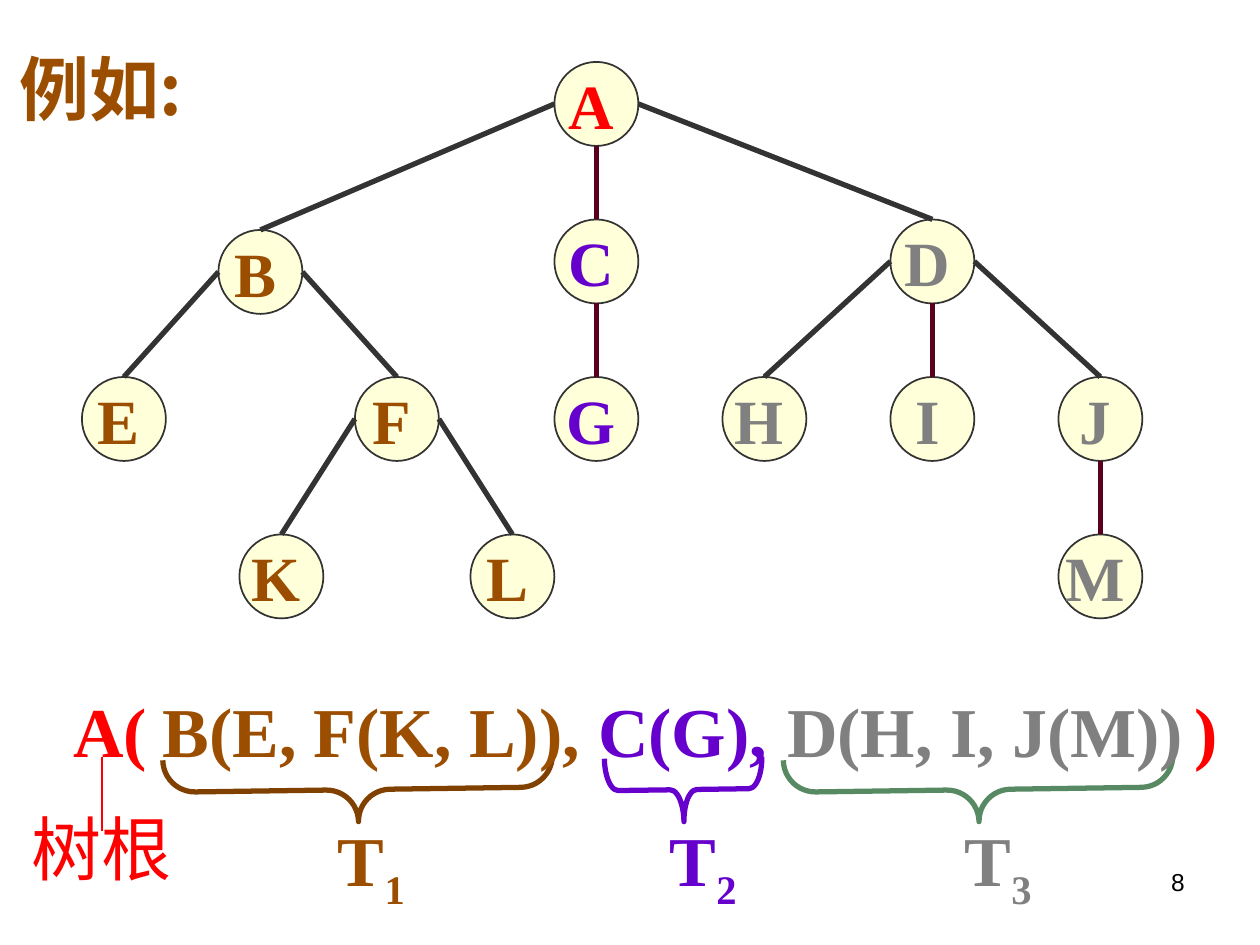
from pptx import Presentation
from pptx.dml.color import RGBColor
from pptx.enum.shapes import MSO_CONNECTOR as Link, MSO_SHAPE as Shape
from pptx.enum.text import MSO_ANCHOR as Anchor, PP_ALIGN as Align
from pptx.oxml.ns import qn
from pptx.util import Inches, Pt
from lxml.etree import SubElement

COLORS = {
    "root": "FF0000", "t1": "9C4E00", "t2": "6600CC", "t3": "808080",
    "node": "FFFFD9", "edge": "333333", "stem": "58001D",
    "brace1": "804000", "brace3": "578963", "number": "000000",
}
COLUMNS = 120
ROWS = 90
NODE_SIZE = 8
LEVELS = [9.9, 24.9, 39.9, 54.9]

# letter: (centre column, centre row, colour)
NODES = {
    "A": (56.8, LEVELS[0], "root"),
    "B": (24.8, LEVELS[1] + 1, "t1"),
    "C": (56.8, LEVELS[1], "t2"),
    "D": (88.8, LEVELS[1], "t3"),
    "E": (11.8, LEVELS[2], "t1"),
    "F": (37.8, LEVELS[2], "t1"),
    "G": (56.8, LEVELS[2], "t2"),
    "H": (72.8, LEVELS[2], "t3"),
    "I": (88.8, LEVELS[2], "t3"),
    "J": (104.8, LEVELS[2], "t3"),
    "K": (26.8, LEVELS[3], "t1"),
    "L": (48.8, LEVELS[3], "t1"),
    "M": (104.8, LEVELS[3], "t3"),
}
CHILDREN = {"A": "BCD", "B": "EF", "C": "G", "D": "HIJ", "F": "KL", "J": "M"}

# text, left column, width in columns, colour
LIST_PARTS = [
    ("A(", 5.8, 10.8, "root"),
    ("B(E, F(K, L)),", 14.3, 43.8, "t1"),
    ("C(G),", 55.8, 20.2, "t2"),
    ("D(H, I, J(M))", 73.8, 41, "t3"),
    (")", 112.6, 5.4, "root"),
]
# index, brace centre, brace span, curl, label left, brace colour, label colour
SUBTREES = [
    ("1", 34.1, 37.1, 0.5, 31, "brace1", "t1"),
    ("2", 65.1, 15, 0.21, 62.6, "t2", "t2"),
    ("3", 93.2, 37.1, 0.5, 90.7, "brace3", "t3"),
]


class TreePage:
    latin = "Times New Roman"
    chinese = "Noto Sans CJK SC"

    def __init__(self, deck):
        self.page = deck.slides.add_slide(deck.slide_layouts[6])
        self.column = deck.slide_width / COLUMNS
        self.row = deck.slide_height / ROWS

    def place(self, left, top, width, height):
        return (round(left * self.column), round(top * self.row),
                round(width * self.column), round(height * self.row))

    def paint_line(self, shape, color, weight):
        shape.line.color.rgb = RGBColor.from_string(COLORS[color])
        shape.line.width = Pt(weight)

    def add_span(self, para, text, color, size, bold=True, font=None, baseline=None):
        span = para.add_run()
        span.text = text
        span.font.name = font or self.latin
        span.font.size = Pt(size)
        span.font.bold = bold
        span.font.color.rgb = RGBColor.from_string(COLORS[color])
        props = span._r.get_or_add_rPr()
        SubElement(props, qn("a:ea")).set("typeface", self.chinese)
        if baseline:
            props.set("baseline", str(baseline))

    def text(self, text, area, color, size=40, align=Align.LEFT, subscript=None, **style):
        frame = self.page.shapes.add_textbox(*self.place(*area)).text_frame
        frame.word_wrap = True
        para = frame.paragraphs[0]
        para.alignment = align
        self.add_span(para, text, color, size, **style)
        if subscript:
            self.add_span(para, subscript, color, size, baseline=-25000, **style)

    def node(self, letter, x, y, color):
        half = NODE_SIZE / 2
        circle = self.page.shapes.add_shape(
            Shape.OVAL, *self.place(x - half, y - half, NODE_SIZE, NODE_SIZE))
        circle.shadow.inherit = False
        circle.fill.solid()
        circle.fill.fore_color.rgb = RGBColor.from_string(COLORS["node"])
        self.paint_line(circle, "edge", 1)
        frame = circle.text_frame
        frame.word_wrap = False
        frame.vertical_anchor = Anchor.MIDDLE
        frame.margin_left, frame.margin_right = 0, Inches(0.08)
        para = frame.paragraphs[0]
        para.alignment = Align.CENTER
        self.add_span(para, letter, color, 36)

    def line(self, start, end, color, weight=3):
        link = self.page.shapes.add_connector(
            Link.STRAIGHT, *self.place(*start, *end))
        self.paint_line(link, color, weight)
        SubElement(link._element.spPr, qn("a:effectLst"))

    def edge(self, parent, child):
        """Leave the parent on the side facing the child; enter at the child's top."""
        x, y, _ = NODES[parent]
        child_x, child_y, _ = NODES[child]
        half = NODE_SIZE / 2
        top = (child_x, child_y - half)
        if child_x == x:
            self.line((x, y + half), top, "stem")
        else:
            side = half if child_x > x else -half
            self.line((x + side, y), top, "edge")

    def brace(self, center, middle, span, depth, curl, color):
        """Draw a brace whose tip points down."""
        brace = self.page.shapes.add_shape(
            Shape.LEFT_BRACE,
            *self.place(center - depth / 2, middle - span / 2, depth, span))
        brace.adjustments[0] = curl
        brace.rotation = 269.2
        brace.shadow.inherit = False
        brace.fill.background()
        self.paint_line(brace, color, 3)


def main():
    deck = Presentation()
    deck.slide_width, deck.slide_height = Inches(10), Inches(7.5)
    tree = TreePage(deck)

    for letter, (x, y, color) in NODES.items():
        tree.node(letter, x, y, color)
    for parent, children in CHILDREN.items():
        for child in children:
            tree.edge(parent, child)

    for index, center, span, curl, left, brace_color, color in SUBTREES:
        tree.brace(center, 75.2, span, 6.1, curl, brace_color)
        tree.text("T", (left, 77.2, 10.7, 10.3), color, subscript=index)
    tree.line((9.7, 72.1), (9.7, 79.1), "root", 1.5)
    tree.text("树根", (1.8, 76.1, 16.6, 9.2), "root", bold=False)
    tree.text("例如:", (0.7, 3.7, 22.3, 9.2), "t1", font=tree.chinese)
    for text, left, width, color in LIST_PARTS:
        tree.text(text, (left, 64.9, width, 9.2), color)
    tree.text("8", (86, 82, 28, 6.2), "number", size=14, align=Align.RIGHT,
              bold=False, font="Arial")
    deck.save("out.pptx")


if __name__ == "__main__":
    main()
